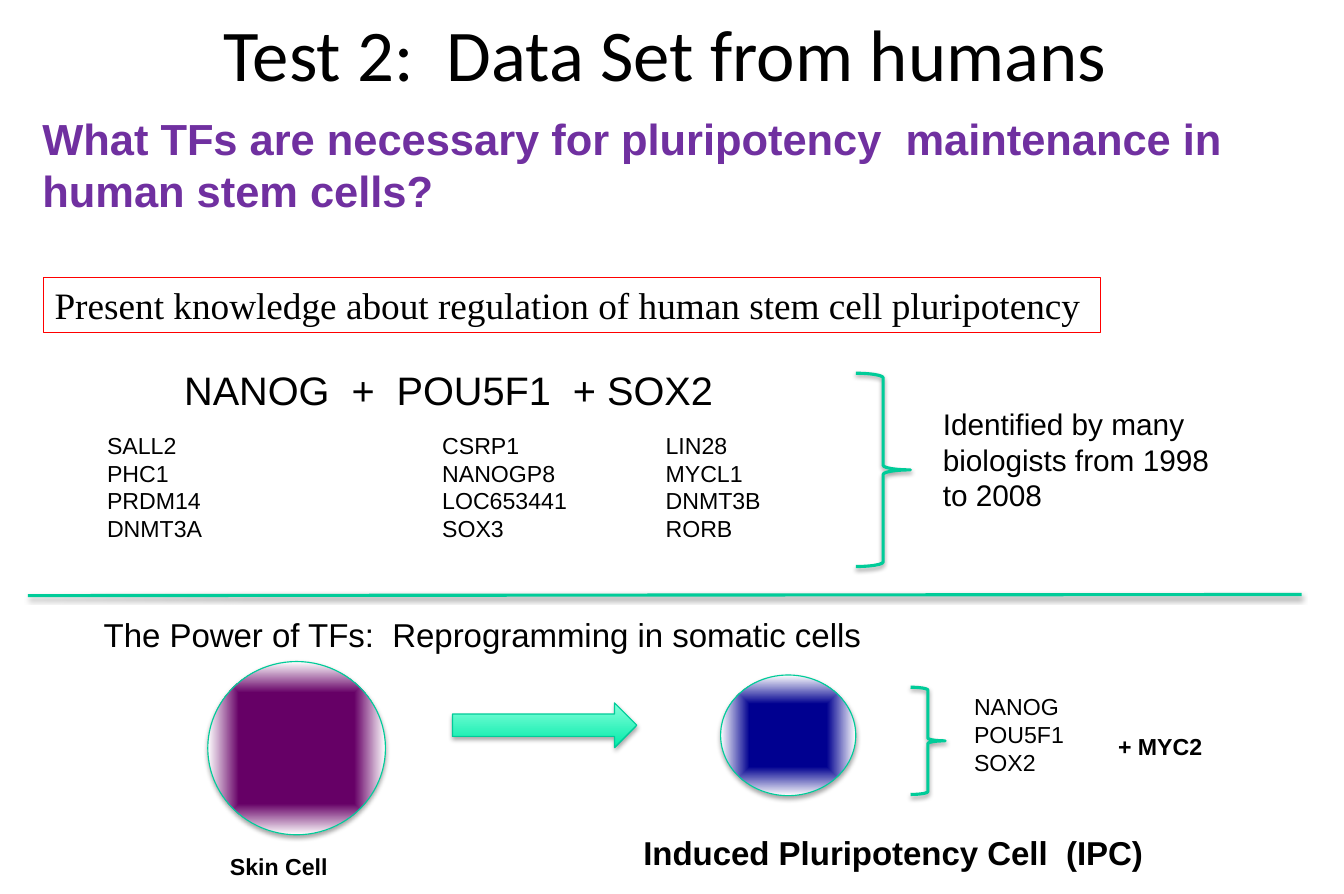
from pptx import Presentation
from pptx.dml.color import RGBColor
from pptx.enum.shapes import MSO_CONNECTOR, MSO_SHAPE
from pptx.enum.text import MSO_ANCHOR, MSO_AUTO_SIZE, PP_ALIGN
from pptx.oxml import parse_xml
from pptx.oxml.ns import nsdecls
from pptx.util import Inches, Pt

COLORS = {
    "text": "000000", "question": "7030A0", "frame": "FF0000",
    "green": "00CC99", "arrow_top": "85FFDB", "arrow_bottom": "00EBA8",
    "skin": "660066", "stem": "000090", "white": "FFFFFF",
}
CENTER_PATH = ('<a:path path="shape"><a:fillToRect l="50000" t="50000" '
               'r="50000" b="50000"/></a:path>')
DOWNWARD = '<a:lin ang="5400000" scaled="0"/>'


class SlideBuilder:
    """Holds the text style and the current slide."""

    def __init__(self, s, font="Arial", size=14.9):
        self.s, self.font, self.size = s, font, size

    def box(self, at):
        return [Inches(v) for v in at]

    def fill_text(self, sp, lines, wrap=False, color="text", align=PP_ALIGN.LEFT,
                  anchor=MSO_ANCHOR.TOP, tabs=(), grow=True, **style):
        tf = sp.text_frame
        tf.word_wrap, tf.vertical_anchor = wrap, anchor
        tf.auto_size = MSO_AUTO_SIZE.SHAPE_TO_FIT_TEXT if grow else MSO_AUTO_SIZE.NONE
        style = {"name": self.font, "size": self.size, "bold": False} | style
        style["size"] = Pt(style["size"])
        for i, line in enumerate(lines):
            p = tf.paragraphs[0] if i == 0 else tf.add_paragraph()
            if tabs:
                stops = "".join(f'<a:tab pos="{Inches(t)}" algn="l"/>' for t in tabs)
                p._p.get_or_add_pPr().append(
                    parse_xml(f'<a:tabLst {nsdecls("a")}>{stops}</a:tabLst>'))
            p.alignment = align
            r = p.add_run()
            r.text = line
            for name, value in style.items():
                setattr(r.font, name, value)
            r.font.color.rgb = RGBColor.from_string(COLORS[color])

    def placeholder(self, index, at, lines, **style):
        sp = self.s.placeholders[index]
        sp.left, sp.top, sp.width, sp.height = self.box(at)
        self.fill_text(sp, lines, grow=False, **style)
        return sp

    def text(self, at, lines, **style):
        self.fill_text(self.s.shapes.add_textbox(*self.box(at)), lines, **style)

    def line_style(self, sp, color, width):
        sp.line.color.rgb = RGBColor.from_string(COLORS[color])
        sp.line.width = Pt(width)

    def add_shadow(self, sp, alpha, dist):
        sp._element.spPr.append(parse_xml(
            f'<a:effectLst {nsdecls("a")}><a:outerShdw blurRad="{Pt(3.1)}" '
            f'dist="{Pt(dist)}" dir="5400000" rotWithShape="0"><a:srgbClr val="000000">'
            f'<a:alpha val="{alpha * 1000}"/></a:srgbClr></a:outerShdw></a:effectLst>'))

    def gradient_shape(self, kind, at, stops, direction):
        sp = self.s.shapes.add_shape(kind, *self.box(at))
        self.line_style(sp, "green", 0.75)
        gs = "".join(f'<a:gs pos="{pos * 1000}"><a:srgbClr val="{COLORS[c]}"/></a:gs>'
                     for pos, c in stops)
        sp._element.spPr.prstGeom.addnext(parse_xml(
            f'<a:gradFill {nsdecls("a")} rotWithShape="1"><a:gsLst>{gs}</a:gsLst>'
            f'{direction}</a:gradFill>'))
        self.add_shadow(sp, 35, 1.8)

    def cell(self, at, color, core):
        stops = [(0, color), (core, color), (100, "white")]
        self.gradient_shape(MSO_SHAPE.FLOWCHART_CONNECTOR, at, stops, CENTER_PATH)

    def brace(self, at):
        sp = self.s.shapes.add_shape(MSO_SHAPE.RIGHT_BRACE, *self.box(at))
        sp.fill.background()
        self.line_style(sp, "green", 2)
        self.add_shadow(sp, 38, 1.6)

    def line(self, start, end):
        sp = self.s.shapes.add_connector(
            MSO_CONNECTOR.STRAIGHT, *self.box(start), *self.box(end))
        self.line_style(sp, "green", 2)
        self.add_shadow(sp, 38, 1.6)

    def framed_text(self, at, lines, **style):
        sp = self.s.shapes.add_shape(MSO_SHAPE.RECTANGLE, *self.box(at))
        sp.shadow.inherit = False
        sp.fill.background()
        self.line_style(sp, "frame", 0.75)
        self.fill_text(sp, lines, **style)


def main():
    prs = Presentation()
    prs.slide_width, prs.slide_height = Inches(12.03), Inches(8)
    b = SlideBuilder(prs.slides.add_slide(prs.slide_layouts[1]))

    # Title and question
    b.placeholder(0, (1.86, 0.02, 8.19, 0.89), ["Test 2:  Data Set from humans"],
                  name="Calibri", size=46.9, align=PP_ALIGN.CENTER,
                  anchor=MSO_ANCHOR.MIDDLE)
    question = b.placeholder(
        1, (0.28, 0.95, 11.68, 1.29),
        ["What TFs are necessary for pluripotency  maintenance in human stem cells?"],
        wrap=True, size=28, bold=True, color="question")
    p = question.text_frame.paragraphs[0]
    pPr = p._p.get_or_add_pPr()
    pPr.set("marL", "0")
    pPr.set("indent", "0")
    pPr.append(parse_xml(f'<a:buNone {nsdecls("a")}/>'))
    p.space_before = Pt(0)

    # Present knowledge
    b.framed_text((0.39, 2.48, 9.46, 0.5),
                  ["Present knowledge about regulation of human stem cell pluripotency"],
                  name="Times New Roman", size=24, anchor=MSO_ANCHOR.MIDDLE)
    b.text((1.55, 3.22, 4.99, 0.53), ["NANOG  +  POU5F1  + SOX2"], size=25.6)
    genes = [("SALL2", "CSRP1", "LIN28"), ("PHC1", "NANOGP8", "MYCL1"),
             ("PRDM14", "LOC653441", "DNMT3B"), ("DNMT3A", "SOX3", "RORB")]
    b.text((0.86, 3.81, 6.79, 1.11), ["\t".join(row) for row in genes],
           wrap=True, tabs=(3, 5))
    b.brace((7.66, 3.34, 0.49, 1.73))
    b.text((8.34, 3.58, 2.61, 1.07),
           ["Identified by many", "biologists from 1998", "to 2008"], size=19.2)

    # Divider
    b.line((0.25, 5.33), (11.65, 5.32))

    # Reprogramming of a skin cell
    b.text((0.83, 5.45, 7.07, 0.46),
           ["The Power of TFs:  Reprogramming in somatic cells"], size=21.3)
    b.cell((1.86, 5.92, 1.59, 1.55), "skin", 64)
    b.gradient_shape(MSO_SHAPE.RIGHT_ARROW, (4.05, 6.29, 1.65, 0.4),
                     [(0, "arrow_top"), (100, "arrow_bottom")], DOWNWARD)
    b.cell((6.45, 6.04, 1.21, 1.08), "stem", 52)
    b.brace((8.15, 6.15, 0.31, 0.96))
    b.text((8.62, 6.15, 1.02, 0.85), ["NANOG", "POU5F1", "SOX2"])
    b.text((9.91, 6.5, 0.96, 0.35), ["+ MYC2"], bold=True)
    b.text((1.96, 7.58, 1.08, 0.35), ["Skin Cell"], bold=True)
    b.text((5.66, 7.4, 4.73, 0.46), ["Induced Pluripotency Cell  (IPC)"],
           size=21.3, bold=True)

    prs.save("out.pptx")


if __name__ == "__main__":
    main()
